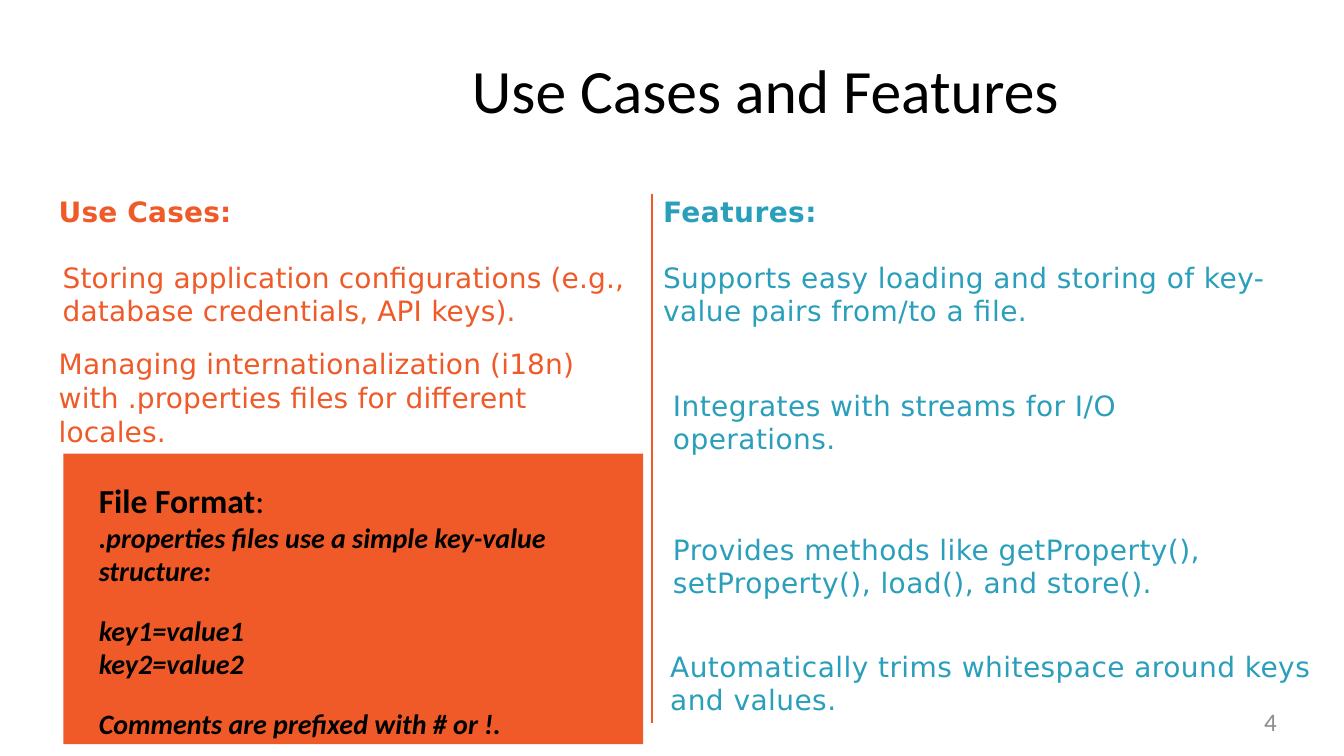
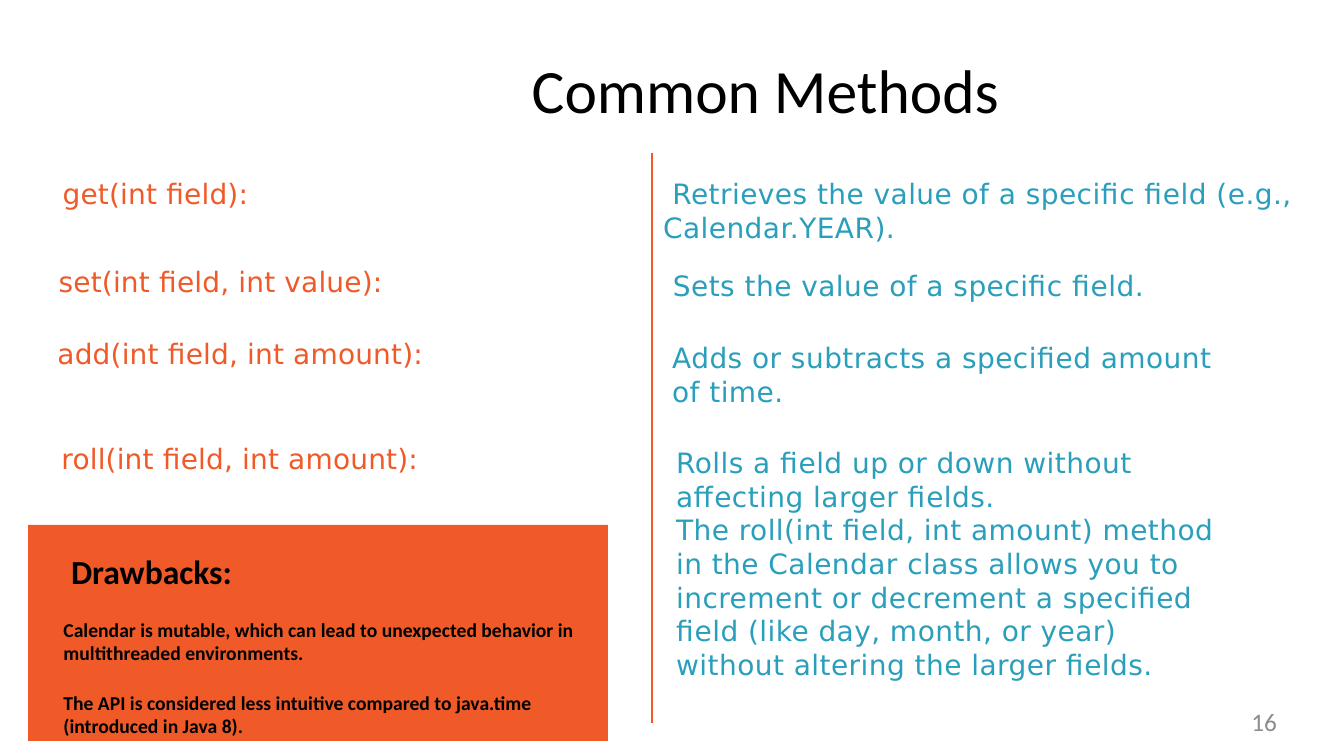
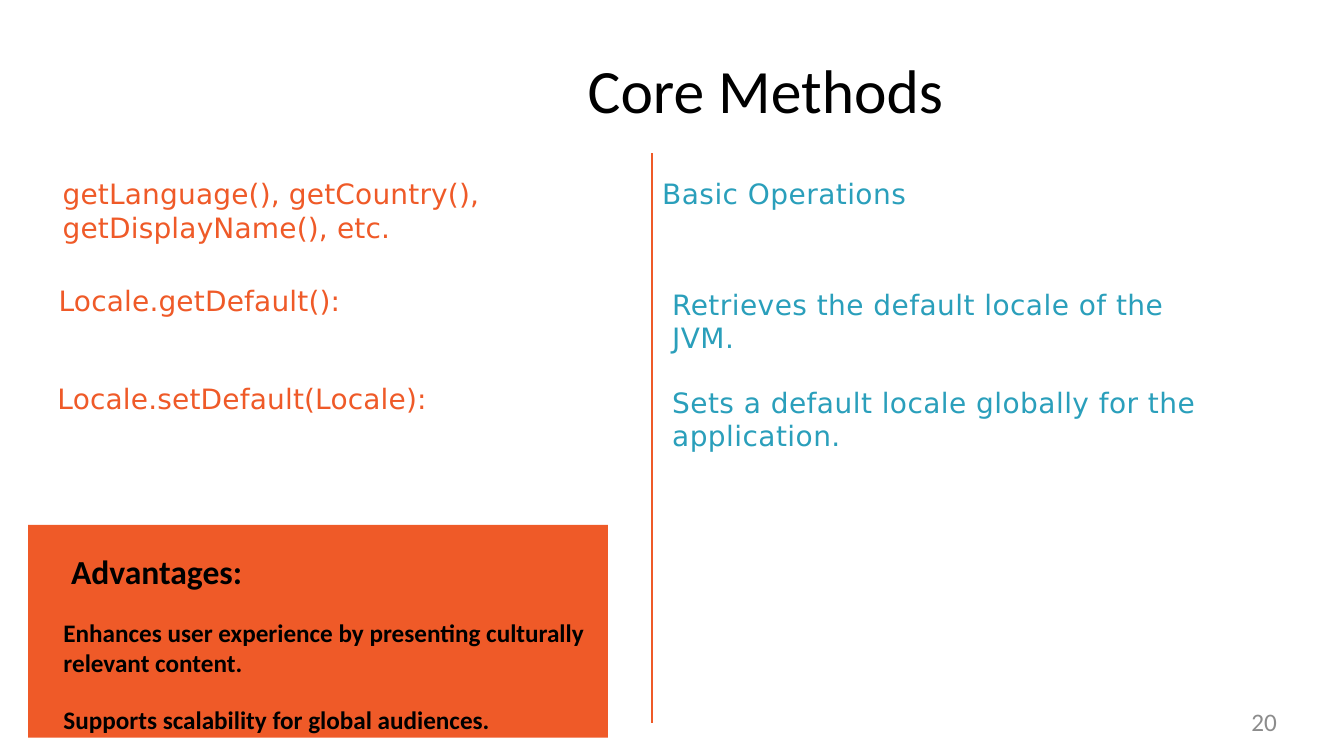
import dataclasses

import lxml.etree
import pptx
import pptx.dml.color
import pptx.enum.shapes
import pptx.enum.text
import pptx.oxml.ns
import pptx.util

Cm = pptx.util.Cm
Pt = pptx.util.Pt
ALIGN = pptx.enum.text.PP_ALIGN
ANCHOR = pptx.enum.text.MSO_ANCHOR

ORANGE, TEAL, BLACK, GREY = "EF5A28", "2A9FBB", "000000", "8C8C8C"
HEADING_FONT, BODY_FONT = "Calibri", "DejaVu Sans"
TITLE_BOX = (5.54, 1.27, 27.48, 1.91)
NUMBER_BOX = (24.38, 17.7, 7.8, 0.97)
BODY_LEFT, BODY_WIDTH, BODY_BOTTOM = 1.42, 32.2, 18.21
DIVIDER_OFFSET, RIGHT_OFFSET = 15.01, 15.22
LINE_HEIGHT = 0.86
FLAT_INSETS = (0.03, 0.03, 0, 0)
PADDED_INSETS = (0.25, 0.13, 0.25, 0.13)


@dataclasses.dataclass
class Run:
    text: str
    size: float
    color: str = BLACK
    font: str = HEADING_FONT
    bold: bool = False
    italic: bool = False
    spacing: int = 0


@dataclasses.dataclass
class Entry:
    x: float
    y: float
    text: str
    lines: int = 1
    width: float = 14.43
    padded: bool = False
    bold: bool = False


def colour(value):
    return pptx.dml.color.RGBColor.from_string(value)


def add_run(para, run):
    for index, piece in enumerate(run.text.split("\n")):
        if index:
            para.add_line_break()
        if not piece:
            continue
        span = para.add_run()
        span.text = piece
        span.font.name = run.font
        span.font.size = Pt(run.size)
        span.font.bold = run.bold
        span.font.italic = run.italic
        span.font.color.rgb = colour(run.color)
        if run.spacing:
            span._r.get_or_add_rPr().set("spc", str(run.spacing))


def fill_text(shape, paragraphs, insets, align=ALIGN.LEFT, anchor=ANCHOR.TOP, gap=0):
    frame = shape.text_frame
    frame.word_wrap = True
    frame.vertical_anchor = anchor
    frame.margin_left, frame.margin_top, frame.margin_right, frame.margin_bottom = map(Cm, insets)
    for index, runs in enumerate(paragraphs):
        para = frame.add_paragraph() if index else frame.paragraphs[0]
        para.alignment = align
        if index:
            para.space_before = Pt(gap)
        for run in runs:
            add_run(para, run)


def add_text(page, box, paragraphs, insets, **options):
    fill_text(page.shapes.add_textbox(*map(Cm, box)), paragraphs, insets, **options)


def add_title(page, box, text):
    add_text(page, box, [[Run(text, 44)]], FLAT_INSETS, align=ALIGN.CENTER, anchor=ANCHOR.MIDDLE)


def add_number(page, box, number):
    add_text(page, box, [[Run(str(number), 18, GREY)]], (0, 0, 0, 0),
             align=ALIGN.RIGHT, anchor=ANCHOR.MIDDLE)


def add_divider(page, x, top, bottom):
    line = page.shapes.add_connector(
        pptx.enum.shapes.MSO_CONNECTOR.STRAIGHT, Cm(x), Cm(top), Cm(x), Cm(bottom))
    line.line.color.rgb = colour(ORANGE)
    line.line.width = Pt(2)
    lxml.etree.SubElement(line._element.spPr, pptx.oxml.ns.qn("a:effectLst"))


def add_column(page, left, top, entries, color, spacing):
    for entry in entries:
        insets = PADDED_INSETS if entry.padded else FLAT_INSETS
        if color == TEAL and not entry.padded:
            insets = (0, 0.03, 0, 0)
        height = entry.lines * LINE_HEIGHT + insets[1] + insets[3]
        run = Run(entry.text, 20, color, BODY_FONT, entry.bold, spacing=spacing)
        paragraphs = [[dataclasses.replace(run, text=text)] for text in entry.text.split("\n")]
        add_text(page, (left + entry.x, top + entry.y, entry.width, height), paragraphs, insets)


def add_body(page, box, left_entries, right_entries):
    left, top, width, height = box
    add_divider(page, left + DIVIDER_OFFSET, top, top + height)
    add_column(page, left, top, left_entries, ORANGE, 10)
    add_column(page, left + RIGHT_OFFSET, top, right_entries, TEAL, 30)


def add_panel(page, box, paragraphs):
    panel = page.shapes.add_shape(pptx.enum.shapes.MSO_SHAPE.RECTANGLE, *map(Cm, box))
    panel.shadow.inherit = False
    panel.fill.solid()
    panel.fill.fore_color.rgb = colour(ORANGE)
    panel.line.fill.background()
    fill_text(panel, paragraphs, (0.89, 0.66, 0, 0), gap=18.5)


def add_page(deck, title, number, top, left_entries, right_entries, panel_box, panel_text):
    page = deck.slides.add_slide(deck.slide_layouts[6])
    add_title(page, TITLE_BOX, title)
    add_body(page, (BODY_LEFT, top, BODY_WIDTH, BODY_BOTTOM - top), left_entries, right_entries)
    add_panel(page, panel_box, panel_text)
    add_number(page, NUMBER_BOX, number)


def bold_panel(heading, size, *statements):
    return [[Run(heading, 24, bold=True)]] + [[Run(text, size, bold=True)] for text in statements]


def add_use_cases(deck):
    def note(text):
        return Run(text, 20, bold=True, italic=True)

    add_page(
        deck, "Use Cases and Features", 4, 4.88,
        [
            Entry(0.03, 0, "Use Cases:", width=15.62, bold=True),
            Entry(0.13, 1.65, "Storing application configurations (e.g., database credentials, API keys).",
                  2, 14.76),
            Entry(0.03, 3.83, "Managing internationalization (i18n) with .properties files for "
                  "different locales.", 3),
        ],
        [
            Entry(0.07, 0, "Features:", bold=True),
            Entry(0.07, 1.65, "Supports easy loading and storing of key-value pairs from/to a file.",
                  2, 16.79),
            Entry(0.07, 4.77, "Integrates with streams for I/O operations.", 2, padded=True),
            Entry(0.07, 8.4, "Provides methods like getProperty(), setProperty(), load(), and store().",
                  2, 16.94, True),
            Entry(0, 11.35, "Automatically trims whitespace around keys and values.", 2, 16.94, True),
        ],
        (1.6, 11.43, 14.61, 7.32),
        [
            [Run("File Format", 24, bold=True), Run(":\n", 24),
             note(".properties files use a simple key-value structure:")],
            [note("key1=value1\nkey2=value2")],
            [note("Comments are prefixed with # or !.")],
        ])


def add_common_methods(deck):
    add_page(
        deck, "Common Methods", 16, 3.86,
        [
            Entry(0.13, 0.56, "get(int field):", width=14.76),
            Entry(0.03, 2.77, "set(int field, int value):"),
            Entry(0, 4.6, "add(int field, int amount):"),
            Entry(0.1, 7.24, "roll(int field, int amount):"),
        ],
        [
            Entry(0.07, 0.56, " Retrieves the value of a specific field (e.g., Calendar.YEAR).", 2, 16.79),
            Entry(0.07, 2.77, "Sets the value of a specific field.", padded=True),
            Entry(0.05, 4.6, "Adds or subtracts a specified amount of time.", 2, padded=True),
            Entry(0.15, 7.24, "Rolls a field up or down without affecting larger fields.\n"
                  "The roll(int field, int amount) method in the Calendar class allows you to "
                  "increment or decrement a specified field (like day, month, or year) without "
                  "altering the larger fields.", 7, padded=True),
        ],
        (0.71, 13.23, 14.61, 5.44),
        bold_panel(
            " Drawbacks:", 14,
            "Calendar is mutable, which can lead to unexpected behavior in multithreaded environments.",
            "The API is considered less intuitive compared to java.time (introduced in Java 8)."))


def add_core_methods(deck):
    add_page(
        deck, "Core Methods", 20, 3.86,
        [
            Entry(0.13, 0.56, "getLanguage(), getCountry(), getDisplayName(), etc.", 2, 14.76),
            Entry(0.03, 3.25, "Locale.getDefault():"),
            Entry(0, 5.72, "Locale.setDefault(Locale):"),
        ],
        [
            Entry(0.05, 0.56, "Basic Operations", width=16.79),
            Entry(0.05, 3.25, "Retrieves the default locale of the JVM.", 2, padded=True),
            Entry(0.05, 5.72, "Sets a default locale globally for the application.", 2, padded=True),
        ],
        (0.71, 13.23, 14.61, 5.36),
        bold_panel(
            " Advantages:", 18,
            "Enhances user experience by presenting culturally relevant content.",
            "Supports scalability for global audiences."))


def main():
    deck = pptx.Presentation()
    deck.slide_width, deck.slide_height = Cm(33.87), Cm(19.05)
    add_use_cases(deck)
    add_common_methods(deck)
    add_core_methods(deck)
    deck.save("out.pptx")


if __name__ == "__main__":
    main()
